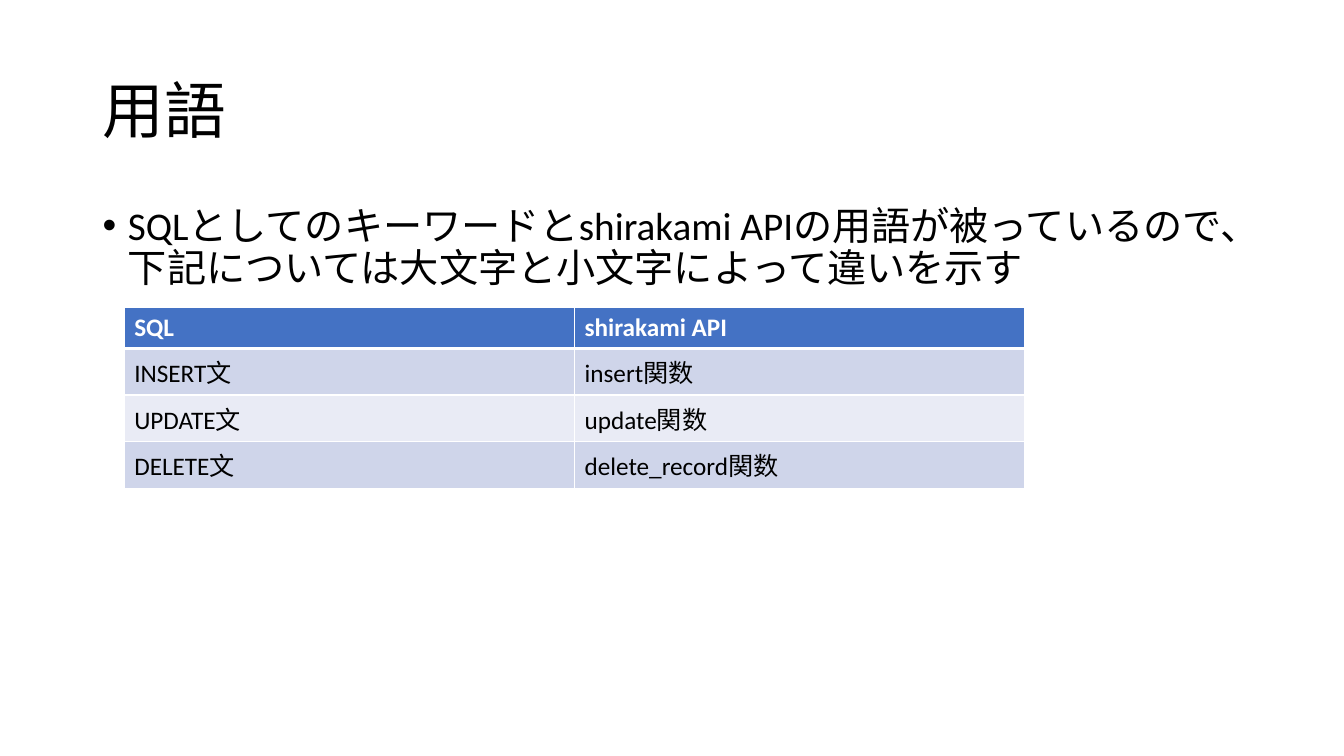
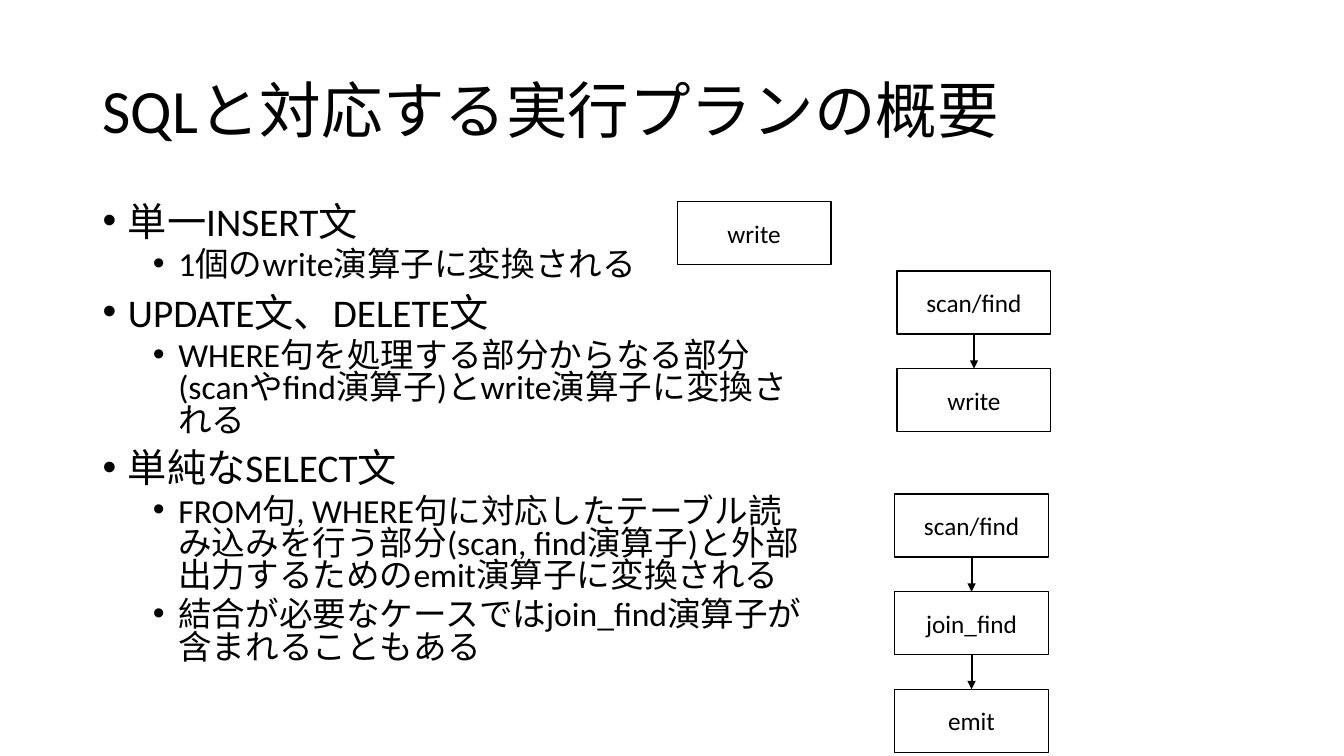
"""Build two slides on SQL terms and their execution plans."""
from dataclasses import dataclass
from itertools import pairwise

from lxml.etree import SubElement
from pptx import Presentation
from pptx.dml.color import RGBColor
from pptx.enum.shapes import MSO_CONNECTOR, MSO_SHAPE
from pptx.enum.text import MSO_ANCHOR, MSO_AUTO_SIZE, PP_ALIGN
from pptx.oxml.ns import qn
from pptx.util import Cm, Pt


@dataclass(frozen=True)
class Theme:
    """Hold the colours, font and type sizes."""
    font: str = "Calibri"
    ink: str = "000000"
    paper: str = "FFFFFF"
    head: str = "4472C4"
    bands: tuple = ("CFD5EA", "E9EBF5")
    title: int = 44
    levels: tuple = (28, 24)
    gaps: tuple = (10, 5)
    small: int = 18


THEME = Theme()
LEFT, WIDE = 2.33, 29.21
BOX_W, BOX_H, STEP = 3.87, 1.59, 2.46

TERMS = [
    ("SQL", "shirakami API"),
    ("INSERT文", "insert関数"),
    ("UPDATE文", "update関数"),
    ("DELETE文", "delete_record関数"),
]
NOTE = [(0, "SQLとしてのキーワードとshirakami APIの用語が被っているので、"
            "下記については大文字と小文字によって違いを示す")]
PLANS = [
    (0, "単一INSERT文"),
    (1, "1個のwrite演算子に変換される"),
    (0, "UPDATE文、DELETE文"),
    (1, "WHERE句を処理する部分からなる部分(scanやfind演算子)と"
        "write演算子に変換される"),
    (0, "単純なSELECT文"),
    (1, "FROM句, WHERE句に対応したテーブル読み込みを行う部分"
        "(scan, find演算子)と外部出力するためのemit演算子に変換される"),
    (1, "結合が必要なケースではjoin_find演算子が含まれることもある"),
]
FLOWS = [
    (17.07, 5.08, ["write"]),
    (22.61, 6.83, ["scan/find", "write"]),
    (22.55, 12.45, ["scan/find", "join_find", "emit"]),
]


def color(code):
    """Turn a hex code into a colour."""
    return RGBColor.from_string(code)


def style(para, size, ink=THEME.ink, bold=False):
    """Format all runs of a paragraph."""
    for run in para.runs:
        font = run.font
        font.name, font.size, font.bold = THEME.font, Pt(size), bold
        font.color.rgb = color(ink)


def place(shape, left, top, width, height):
    """Move and size a shape in centimetres."""
    shape.left, shape.top = Cm(left), Cm(top)
    shape.width, shape.height = Cm(width), Cm(height)


def bullet(para, level):
    """Give a paragraph its level, indent and dot."""
    para.level = level
    props = para._p.get_or_add_pPr()
    props.set("marL", str(Cm(0.64 + 1.27 * level)))
    props.set("indent", str(Cm(-0.64)))
    SubElement(props, qn("a:buFont")).set("typeface", "Arial")
    SubElement(props, qn("a:buChar")).set("char", "•")


def add_page(deck, title, items, width, pitch):
    """Add a slide with its title and list."""
    page = deck.slides.add_slide(deck.slide_layouts[1])
    head, body = page.placeholders
    place(head, LEFT, 1.01, WIDE, 3.68)
    place(body, LEFT, 5.07, width, 12.09)
    for shape in (head, body):
        shape.text_frame.auto_size = MSO_AUTO_SIZE.NONE
    head.text_frame.text = title
    head.text_frame.vertical_anchor = MSO_ANCHOR.MIDDLE
    para = head.text_frame.paragraphs[0]
    para.alignment, para.line_spacing = PP_ALIGN.LEFT, 0.9
    style(para, THEME.title)
    frame = body.text_frame
    frame.text = "\n".join(text for _, text in items)
    for para, (level, _) in zip(frame.paragraphs, items):
        bullet(para, level)
        para.line_spacing = pitch
        para.space_before = Pt(THEME.gaps[level])
        style(para, THEME.levels[level])
    return page


def edge(cell, side, width):
    """Draw one border of a cell."""
    props = cell._tc.get_or_add_tcPr()
    line = SubElement(props, qn(f"a:ln{side}"), w=str(Pt(width)))
    fill = SubElement(line, qn("a:solidFill"))
    SubElement(fill, qn("a:srgbClr"), val=THEME.paper)


def add_grid(page, rows, left, top, width, pitch):
    """Add a banded table with a header row."""
    count = len(rows)
    frame = page.shapes.add_table(count, len(rows[0]), Cm(left), Cm(top),
                                  Cm(width), Cm(pitch * count))
    for row, texts in enumerate(rows):
        is_head = row == 0
        fill = THEME.head if is_head else THEME.bands[(row - 1) % 2]
        ink = THEME.paper if is_head else THEME.ink
        for col, text in enumerate(texts):
            cell = frame.table.cell(row, col)
            cell.text_frame.text = text
            style(cell.text_frame.paragraphs[0], THEME.small, ink, is_head)
            for side in "LRTB":
                thick = (side, row) in (("B", 0), ("T", 1))
                edge(cell, side, 3 if thick else 1)
            cell.fill.solid()
            cell.fill.fore_color.rgb = color(fill)


def add_box(page, text, left, top):
    """Add an outlined box for an operator."""
    box = page.shapes.add_shape(MSO_SHAPE.RECTANGLE, Cm(left), Cm(top),
                                Cm(BOX_W), Cm(BOX_H))
    box.shadow.inherit = False
    box.fill.solid()
    box.fill.fore_color.rgb = color(THEME.paper)
    box.line.color.rgb = color(THEME.ink)
    box.line.width = Pt(1)
    box.text_frame.text = text
    box.text_frame.vertical_anchor = MSO_ANCHOR.MIDDLE
    para = box.text_frame.paragraphs[0]
    para.alignment = PP_ALIGN.CENTER
    style(para, THEME.small)
    return box


def add_arrow(page, start, end):
    """Join two boxes from bottom to top."""
    arrow = page.shapes.add_connector(MSO_CONNECTOR.STRAIGHT, 0, 0, 0, 0)
    arrow.begin_connect(start, 2)
    arrow.end_connect(end, 0)
    arrow.line.color.rgb = color(THEME.ink)
    arrow.line.width = Pt(1.5)
    SubElement(arrow.line._get_or_add_ln(), qn("a:tailEnd"), type="triangle")
    SubElement(arrow._element.spPr, qn("a:effectLst"))


def add_flow(page, left, top, names):
    """Add a column of boxes joined by arrows."""
    boxes = [add_box(page, name, left, top + STEP * row)
             for row, name in enumerate(names)]
    for start, end in pairwise(boxes):
        add_arrow(page, start, end)


def main():
    """Build and save the deck."""
    deck = Presentation()
    deck.slide_width, deck.slide_height = Cm(33.87), Cm(19.05)
    terms = add_page(deck, "用語", NOTE, WIDE, 0.9)
    add_grid(terms, TERMS, 3.13, 7.75, 22.7, 1.03)
    plans = add_page(deck, "SQLと対応する実行プランの概要", PLANS, 18.46, 0.8)
    for left, top, names in FLOWS:
        add_flow(plans, left, top, names)
    deck.save("out.pptx")


main()
